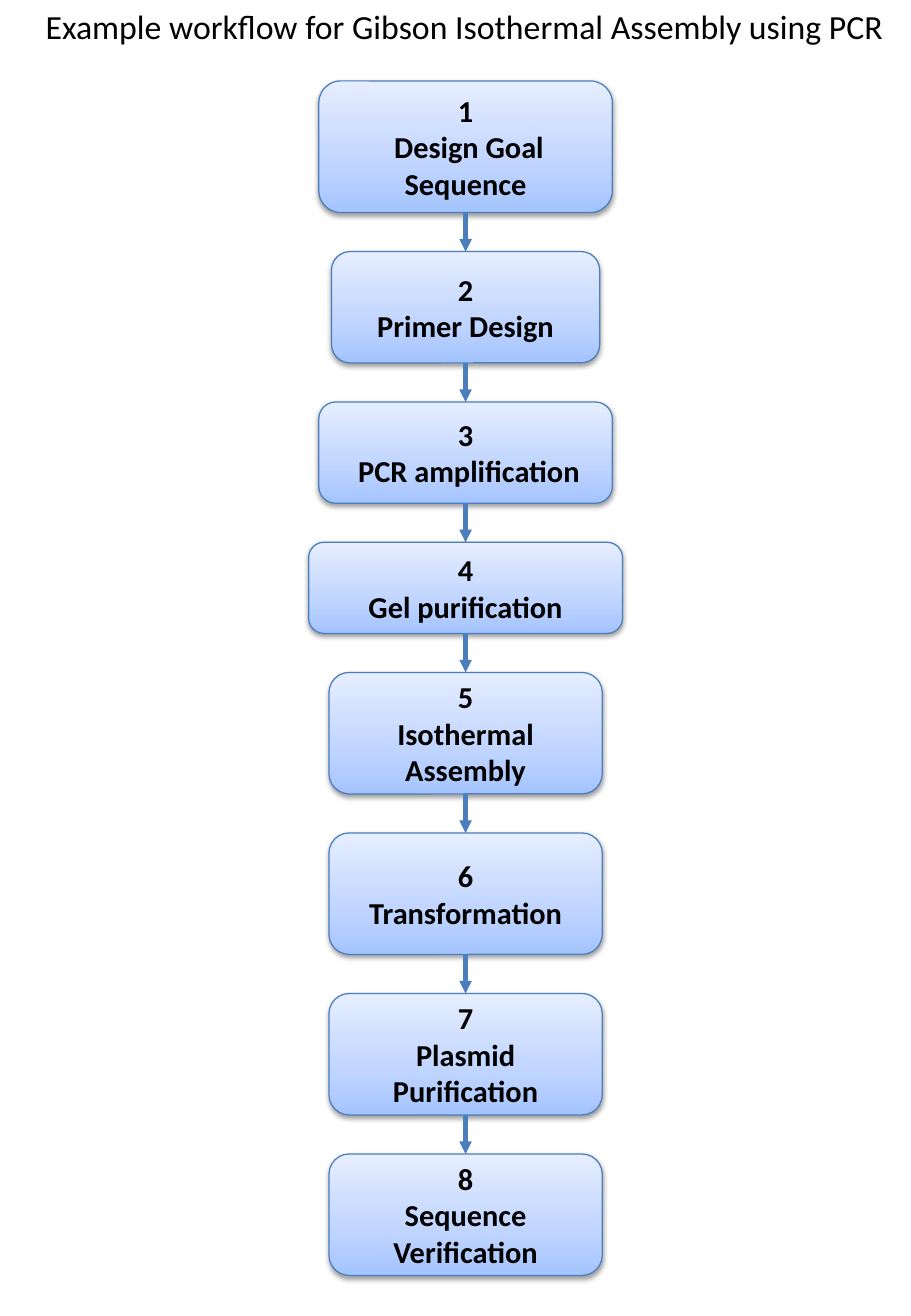
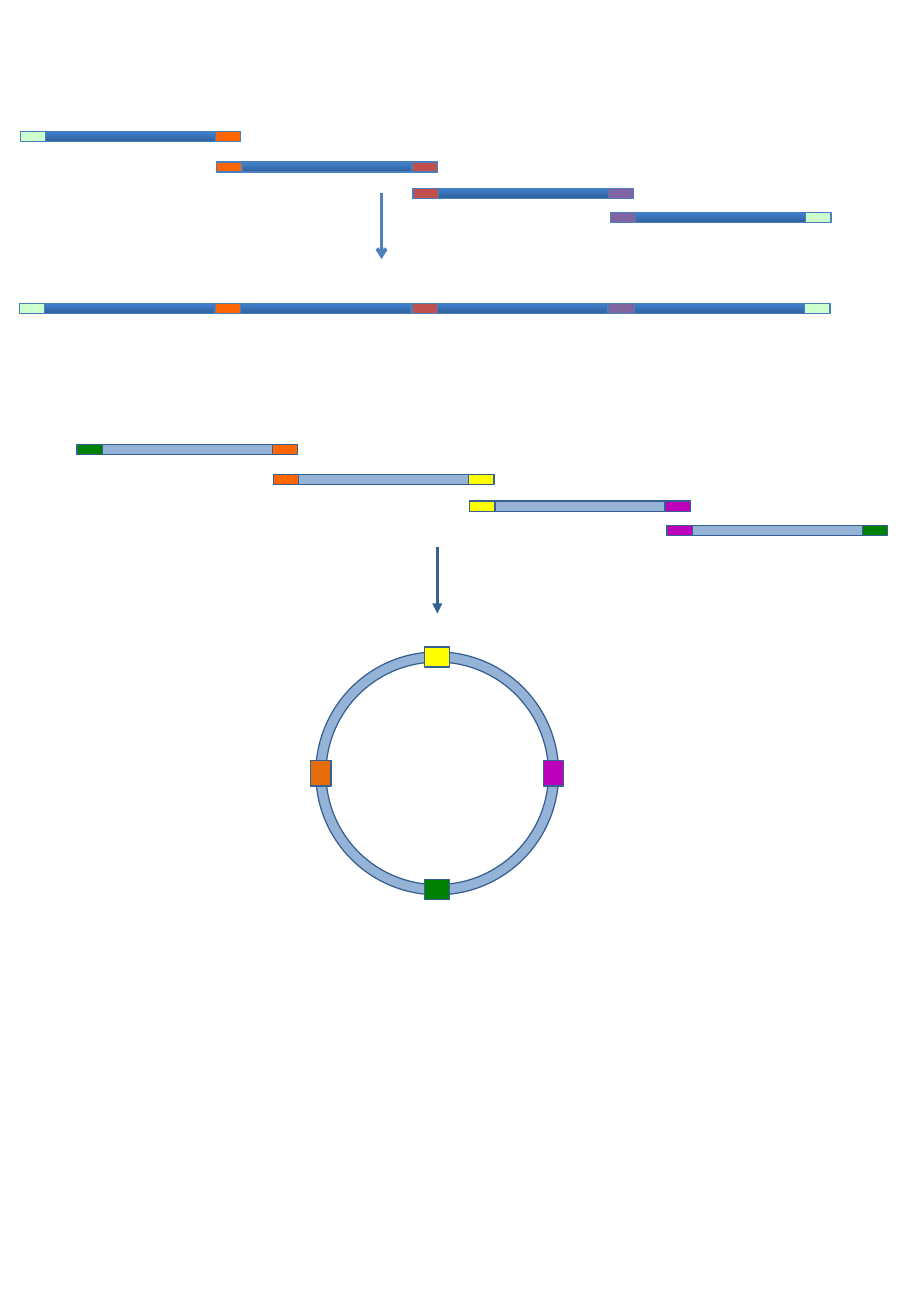
"""Build two slides on Gibson assembly: the workflow and the joining of fragments."""
from copy import deepcopy

from lxml.etree import SubElement
from pptx import Presentation
from pptx.dml.color import RGBColor
from pptx.enum.shapes import MSO_CONNECTOR, MSO_SHAPE as SHAPE
from pptx.enum.text import MSO_ANCHOR as ANCHOR, MSO_AUTO_SIZE as AUTO_SIZE, PP_ALIGN as ALIGN
from pptx.oxml.ns import qn
from pptx.util import Emu, Pt

BLACK = RGBColor(0x00, 0x00, 0x00)
EDGE = RGBColor(0x4B, 0x7E, 0xBC)
ARROW = RGBColor(0x4F, 0x81, 0xBD)
NAVY = RGBColor(0x37, 0x60, 0x92)
PALE_BLUE = RGBColor(0x95, 0xB3, 0xD7)
MINT = RGBColor(0xCC, 0xFF, 0xCC)
ORANGE = RGBColor(0xFF, 0x66, 0x00)
DARK_ORANGE = RGBColor(0xE4, 0x6C, 0x0A)
RED = RGBColor(0xC0, 0x50, 0x4D)
PURPLE = RGBColor(0x80, 0x64, 0xA2)
GREEN = RGBColor(0x00, 0x80, 0x00)
YELLOW = RGBColor(0xFF, 0xFF, 0x00)
MAGENTA = RGBColor(0xBC, 0x00, 0xBC)
STEP_FILL = (
    (0, RGBColor(0xA4, 0xC4, 0xFF)),
    (0.35, RGBColor(0xBF, 0xD4, 0xFF)),
    (1, RGBColor(0xE6, 0xEE, 0xFF)),
)
DNA_FILL = (
    (0, RGBColor(0x2F, 0x5F, 0x99)),
    (0.8, RGBColor(0x3D, 0x7C, 0xC7)),
    (1, RGBColor(0x3A, 0x7C, 0xCB)),
)

PX = 7620
WIDTH, HEIGHT = 900, 1300
FONT = "Calibri"
BODY, OVERLAP, STRAND = 168, 25, 10
STARTS = (0, 194, 388, 583)
STAIRS = (0, 30, 56, 80)

STEPS_CENTRE, STEPS_TOP, STEPS_BOTTOM = 460, 80, 1260
STEPS = (
    (" Design Goal Sequence", 290, 130),
    ("Primer Design", 265, 110),
    (" PCR amplification", 290, 100),
    ("Gel purification", 310, 90),
    ("Isothermal Assembly", 270, 120),
    ("Transformation", 270, 120),
    ("Plasmid Purification", 270, 120),
    ("Sequence Verification", 270, 120),
)


def px(length):
    return Emu(round(length * PX))


class Deck:
    """Hold the shared style and the current slide."""

    def __init__(self):
        self.prs = Presentation()
        self.prs.slide_width, self.prs.slide_height = px(WIDTH), px(HEIGHT)

    def slide(self, title=None):
        layout = self.prs.slide_layouts[5 if title else 6]
        self.page = self.prs.slides.add_slide(layout)
        self.shapes = self.page.shapes
        if title:
            self.title(title)

    def group(self):
        self.shapes = self.page.shapes.add_group_shape().shapes

    def font(self, paragraph, size, bold=False):
        paragraph.alignment = ALIGN.CENTER
        paragraph.font.name, paragraph.font.size = FONT, Pt(size)
        paragraph.font.bold = bold
        paragraph.font.color.rgb = BLACK

    def title(self, text):
        heading = self.shapes.title
        heading.left, heading.top, heading.width, heading.height = map(px, (28, 0, 862, 53))
        frame = heading.text_frame
        frame.text = text
        frame.word_wrap = False
        frame.auto_size = AUTO_SIZE.SHAPE_TO_FIT_TEXT
        frame.vertical_anchor = ANCHOR.TOP
        self.font(frame.paragraphs[0], 20)

    def gradient(self, shape, stops):
        shape.fill.gradient()
        shape.fill.gradient_angle = 90
        stop_list = shape._element.spPr.find(qn("a:gradFill")).find(qn("a:gsLst"))
        stop_list.append(deepcopy(stop_list[-1]))
        for stop, (position, colour) in zip(shape.fill.gradient_stops, stops):
            stop.position, stop.color.rgb = position, colour

    def shape(self, kind, left, top, width, height, fill, line=EDGE):
        shape = self.shapes.add_shape(kind, *map(px, (left, top, width, height)))
        shape.shadow.inherit = False
        if isinstance(fill, RGBColor):
            shape.fill.solid()
            shape.fill.fore_color.rgb = fill
        else:
            self.gradient(shape, fill)
        shape.line.color.rgb, shape.line.width = line, Pt(0.75)
        return shape

    def step(self, number, label, centre, top, width, height):
        box = self.shape(SHAPE.ROUNDED_RECTANGLE, centre - width / 2, top, width, height, STEP_FILL)
        effects = box._element.spPr.find(qn("a:effectLst"))
        shadow = SubElement(effects, qn("a:outerShdw"), blurRad="40000", dist="20000",
                            dir="5400000", rotWithShape="0")
        black = SubElement(shadow, qn("a:srgbClr"), val=str(BLACK))
        SubElement(black, qn("a:alpha"), val="38000")
        frame = box.text_frame
        frame.word_wrap = True
        frame.vertical_anchor = ANCHOR.MIDDLE
        frame.text = f"{number}\n{label}"
        for paragraph in frame.paragraphs:
            self.font(paragraph, 18, bold=True)

    def arrow(self, x, top, bottom, colour=EDGE, weight=2.5, head="triangle"):
        arrow = self.shapes.add_connector(MSO_CONNECTOR.STRAIGHT, *map(px, (x, top, x, bottom)))
        arrow.line.color.rgb, arrow.line.width = colour, Pt(weight)
        properties = arrow._element.spPr
        SubElement(properties.find(qn("a:ln")), qn("a:tailEnd"), type=head)
        SubElement(properties, qn("a:effectLst"))

    def fragment(self, left, top, first, last, fill, line):
        body = left + OVERLAP
        self.shape(SHAPE.RECTANGLE, body, top, BODY, STRAND, fill, line)
        for x, colour in ((left, first), (body + BODY, last)):
            if colour is not None:
                self.shape(SHAPE.RECTANGLE, x, top, OVERLAP, STRAND, colour, line)

    def fragments(self, left, top, firsts, lasts, drops=STAIRS, fill=DNA_FILL, line=EDGE):
        for start, drop, first, last in zip(STARTS, drops, firsts, lasts):
            self.fragment(left + start, top + drop, first, last, fill, line)

    def plasmid(self, x, y, size, radius, joints):
        ring = self.shape(SHAPE.DONUT, x - size / 2, y - size / 2, size, size, PALE_BLUE, NAVY)
        ring.adjustments[0] = 0.042
        width, height = OVERLAP, 2 * STRAND
        for across, down, colour in joints:
            joint = self.shape(SHAPE.RECTANGLE, x + across * radius - width / 2,
                               y + down * radius - height / 2, width, height, colour, NAVY)
            joint.rotation = 270 if across else 0


def workflow(deck):
    deck.slide("Example workflow for Gibson Isothermal Assembly using PCR")
    filled = sum(height for _, _, height in STEPS)
    gap = (STEPS_BOTTOM - STEPS_TOP - filled) / (len(STEPS) - 1)
    top = STEPS_TOP
    for number, (label, width, height) in enumerate(STEPS, 1):
        deck.step(number, label, STEPS_CENTRE, top, width, height)
        top += height + gap
        if number < len(STEPS):
            deck.arrow(STEPS_CENTRE, top - gap, top)


def assembly(deck):
    deck.slide()
    linear = (MINT, ORANGE, RED, PURPLE)
    deck.fragments(20, 130, linear, linear[1:] + linear[:1])
    deck.fragments(19, 300, linear, (None, None, PURPLE, MINT), drops=(0,) * 4)
    deck.arrow(377, 191, 256, ARROW, 2, "arrow")

    deck.group()
    circular = (GREEN, ORANGE, YELLOW, MAGENTA)
    deck.fragments(76, 439, circular, circular[1:] + circular[:1], fill=PALE_BLUE, line=NAVY)
    deck.arrow(432, 540, 606, NAVY, 2)
    deck.plasmid(432, 764, 240, 115, (
        (0, -1, YELLOW), (-1, 0, DARK_ORANGE), (1, 0, MAGENTA), (0, 1, GREEN)))


def main():
    deck = Deck()
    workflow(deck)
    assembly(deck)
    deck.prs.save("out.pptx")


if __name__ == "__main__":
    main()
